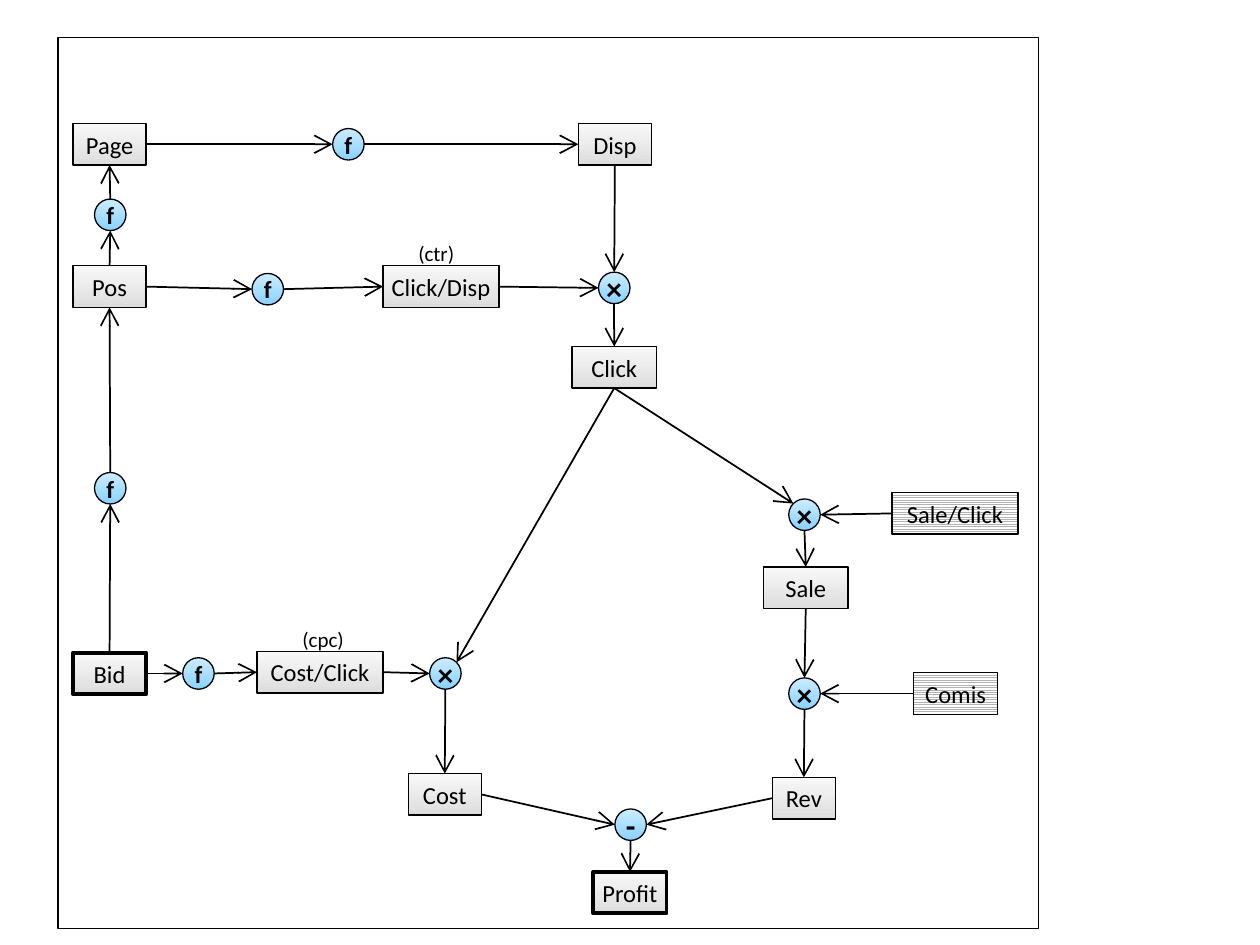
"""Build a slide with the bid-to-profit flow diagram."""
from lxml import etree
from pptx import Presentation
from pptx.dml.color import RGBColor
from pptx.enum.dml import MSO_PATTERN
from pptx.enum.shapes import MSO_CONNECTOR, MSO_SHAPE
from pptx.enum.text import MSO_ANCHOR, MSO_AUTO_SIZE, PP_ALIGN
from pptx.oxml.ns import qn
from pptx.util import Inches, Pt

RECT, OVAL = MSO_SHAPE.RECTANGLE, MSO_SHAPE.OVAL
LINE = MSO_CONNECTOR.STRAIGHT
STRIPES = MSO_PATTERN.LIGHT_HORIZONTAL
MIDDLE, CENTER = MSO_ANCHOR.MIDDLE, PP_ALIGN.CENTER
FIT = MSO_AUTO_SIZE.SHAPE_TO_FIT_TEXT
BLACK = RGBColor(0x00, 0x00, 0x00)
WHITE = RGBColor(0xFF, 0xFF, 0xFF)
STRIPE = RGBColor(0xB2, 0xB2, 0xB2)
GREYS = RGBColor(0xF8, 0xF8, 0xF8), RGBColor(0xDD, 0xDD, 0xDD)
BLUES = RGBColor(0xCC, 0xEC, 0xFF), RGBColor(0x89, 0xD2, 0xFF)
HIGH, DOT = 0.33, 0.25

deck = Presentation()
deck.slide_width, deck.slide_height = Inches(10), Inches(7.5)
slide = deck.slides.add_slide(deck.slide_layouts[6])
shapes = slide.shapes


def add_node(kind, left, top, width, height, colors, weight=0.75):
    node = shapes.add_shape(kind, Inches(left), Inches(top), Inches(width), Inches(height))
    node.shadow.inherit = False
    node.line.color.rgb = BLACK
    node.line.width = Pt(weight)
    if colors == STRIPES:
        node.fill.patterned()
        node.fill.pattern = STRIPES
        node.fill.fore_color.rgb = STRIPE
        node.fill.back_color.rgb = WHITE
    elif colors == WHITE:
        node.fill.solid()
        node.fill.fore_color.rgb = WHITE
    else:
        node.fill.gradient()
        node.fill.gradient_angle = 270
        for stop, color, place in zip(node.fill.gradient_stops, colors, (0, 1)):
            stop.color.rgb = color
            stop.position = place
    return node


def set_text(shape, text, size, bold=False):
    frame = shape.text_frame
    frame.word_wrap = False
    para = frame.paragraphs[0]
    para.text = text
    para.font.name = "Calibri"
    para.font.size = Pt(size)
    para.font.bold = bold
    para.font.color.rgb = BLACK
    return frame, para


add_node(RECT, 0.46, 0.3, 7.78, 7.07, WHITE)

boxes = [
    ("Page", 0.58, 0.98, 0.58, GREYS, 0.75),
    ("Disp", 4.59, 0.98, 0.58, GREYS, 0.75),
    ("Pos", 0.58, 2.11, 0.58, GREYS, 0.75),
    ("Click/Disp", 3.04, 2.11, 0.92, GREYS, 0.75),
    ("Click", 4.54, 2.75, 0.67, GREYS, 0.75),
    ("Sale/Click", 7.08, 3.91, 1, STRIPES, 0.75),
    ("Sale", 6.06, 4.5, 0.67, GREYS, 0.75),
    ("Bid", 0.58, 5.18, 0.58, GREYS, 2.25),
    ("Cost/Click", 2.04, 5.17, 1, GREYS, 0.75),
    ("Comis", 7.25, 5.34, 0.67, STRIPES, 0.75),
    ("Cost", 3.24, 6.14, 0.58, GREYS, 0.75),
    ("Rev", 6.13, 6.17, 0.5, GREYS, 0.75),
    ("Profit", 4.71, 6.92, 0.58, GREYS, 2.25),
]
dots = [
    ("to disp", "f", 2.64, 1.02),
    ("to page", "f", 0.75, 1.58),
    ("to ctr", "f", 2, 2.17),
    ("to pos", "f", 0.75, 3.75),
    ("to cpc", "f", 1.45, 5.22),
    ("clicks", "×", 4.75, 2.16),
    ("costs", "×", 3.41, 5.22),
    ("sales", "×", 6.26, 3.96),
    ("revs", "×", 6.26, 5.38),
    ("minus", "-", 4.88, 6.42),
]
nodes = {}
for name, left, top, width, colors, weight in boxes:
    nodes[name] = add_node(RECT, left, top, width, HIGH, colors, weight)
    frame, para = set_text(nodes[name], name, 14)
    frame.vertical_anchor, para.alignment = MIDDLE, CENTER
for name, sign, left, top in dots:
    nodes[name] = add_node(OVAL, left, top, DOT, DOT, BLUES)
    frame, para = set_text(nodes[name], sign, 14 if sign == "f" else 18, True)
    frame.vertical_anchor, para.alignment = MIDDLE, CENTER

for text, left, top, width in [("(cpc)", 2.4, 4.97, 0.37), ("(ctr)", 3.32, 1.91, 0.3)]:
    label = shapes.add_textbox(Inches(left), Inches(top), Inches(width), Inches(0.2))
    frame, para = set_text(label, text, 12)
    frame.margin_left = frame.margin_right = frame.margin_top = frame.margin_bottom = 0
    frame.auto_size = FIT

SIDES = {
    "top": (0.5, 0), "left": (0, 0.5), "bottom": (0.5, 1), "right": (1, 0.5),
    "top left": (0.146, 0.146), "top right": (0.854, 0.146),
}
BOX_SITES = {"top": 0, "left": 1, "bottom": 2, "right": 3}
DOT_SITES = {"top": 0, "top left": 1, "left": 2, "bottom": 4, "right": 6, "top right": 7}
arrows = [
    ("Page", "right", "to disp", "left"),
    ("to disp", "right", "Disp", "left"),
    ("Disp", "bottom", "clicks", "top"),
    ("Pos", "top", "to page", "bottom"),
    ("to page", "top", "Page", "bottom"),
    ("Pos", "right", "to ctr", "left"),
    ("to ctr", "right", "Click/Disp", "left"),
    ("Click/Disp", "right", "clicks", "left"),
    ("clicks", "bottom", "Click", "top"),
    ("Click", "bottom", "sales", "top left"),
    ("Click", "bottom", "costs", "top right"),
    ("Bid", "top", "to pos", "bottom"),
    ("to pos", "top", "Pos", "bottom"),
    ("Bid", "right", "to cpc", "left"),
    ("to cpc", "right", "Cost/Click", "left"),
    ("Cost/Click", "right", "costs", "left"),
    ("costs", "bottom", "Cost", "top"),
    ("Sale/Click", "left", "sales", "right"),
    ("sales", "bottom", "Sale", "top"),
    ("Sale", "bottom", "revs", "top"),
    ("Comis", "left", "revs", "right"),
    ("revs", "bottom", "Rev", "top"),
    ("Cost", "right", "minus", "left"),
    ("Rev", "left", "minus", "right"),
    ("minus", "bottom", "Profit", "top"),
]
for start, out, end, into in arrows:
    points, glue = [], []
    for tag, name, side in [("a:stCxn", start, out), ("a:endCxn", end, into)]:
        node = nodes[name]
        across, down = SIDES[side]
        points += [int(node.left + across * node.width), int(node.top + down * node.height)]
        sites = BOX_SITES if node.auto_shape_type == RECT else DOT_SITES
        glue.append((tag, node.shape_id, sites[side]))
    arrow = shapes.add_connector(LINE, *points)
    arrow.line.color.rgb = BLACK
    arrow.line.width = Pt(1)
    ends = arrow._element.find(".//" + qn("p:cNvCxnSpPr"))
    for tag, number, site in glue:
        etree.SubElement(ends, qn(tag), id=str(number), idx=str(site))
    props = arrow._element.spPr
    etree.SubElement(props.find(qn("a:ln")), qn("a:tailEnd"), type="arrow", w="lg", len="lg")
    etree.SubElement(props, qn("a:effectLst"))

deck.save("out.pptx")
